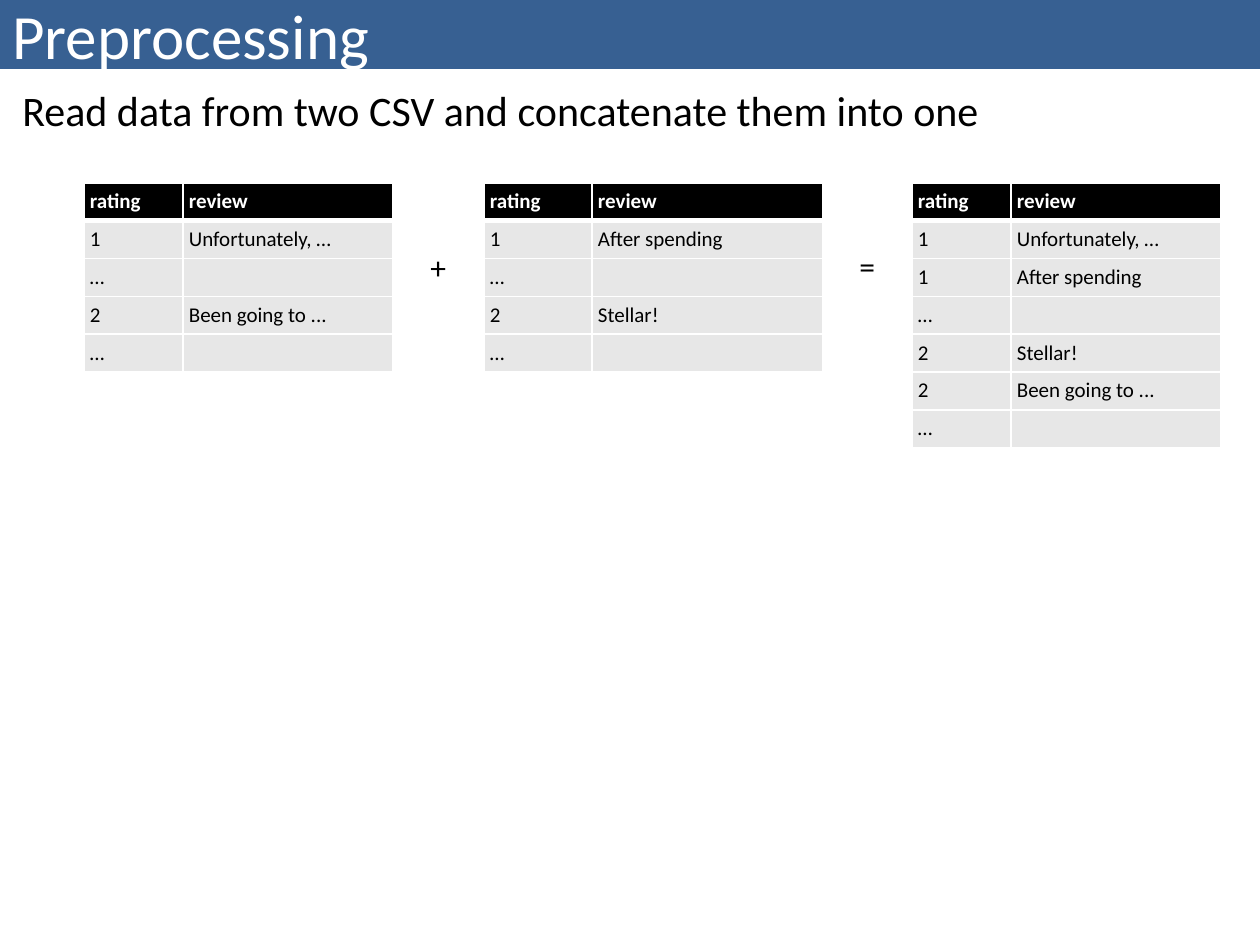
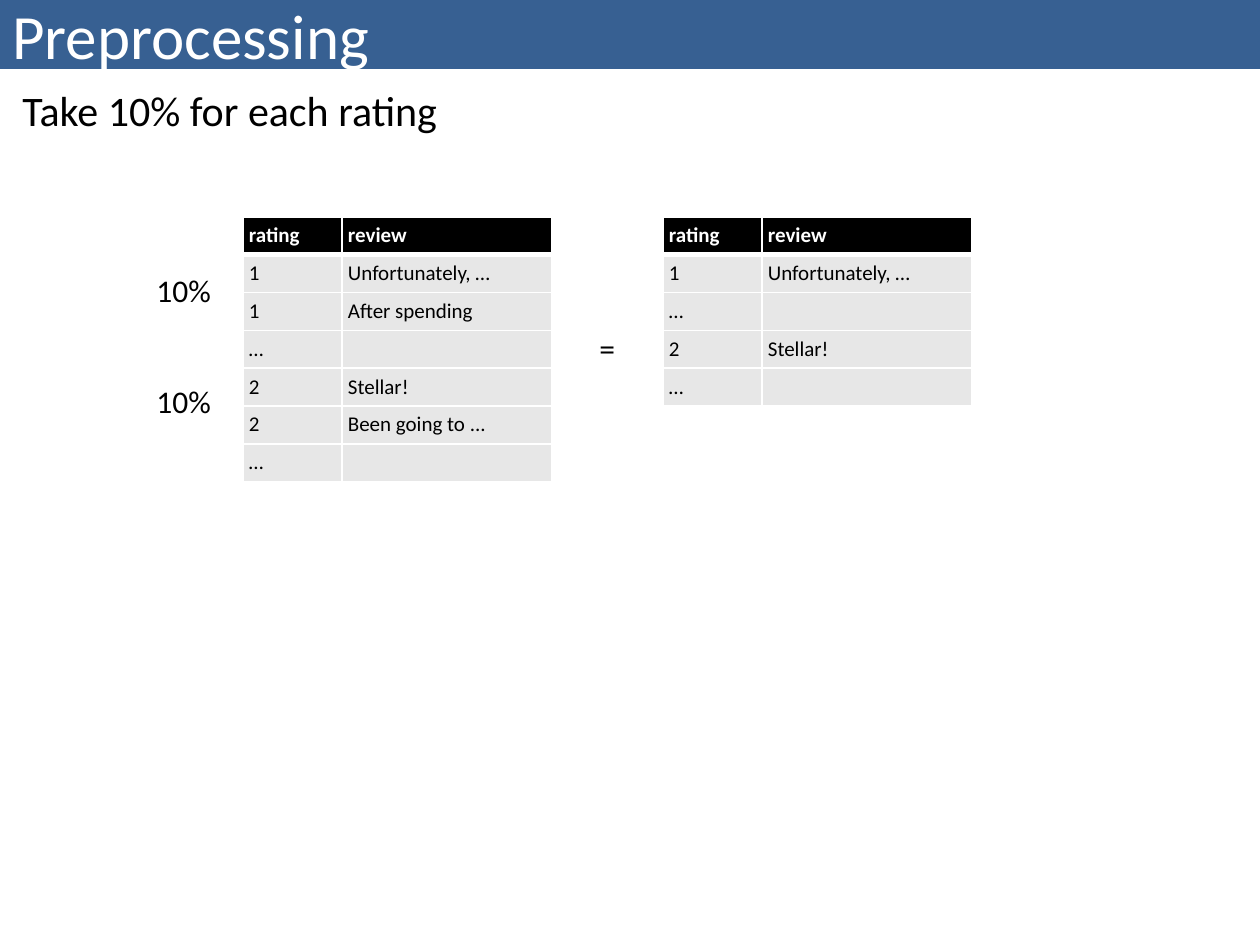
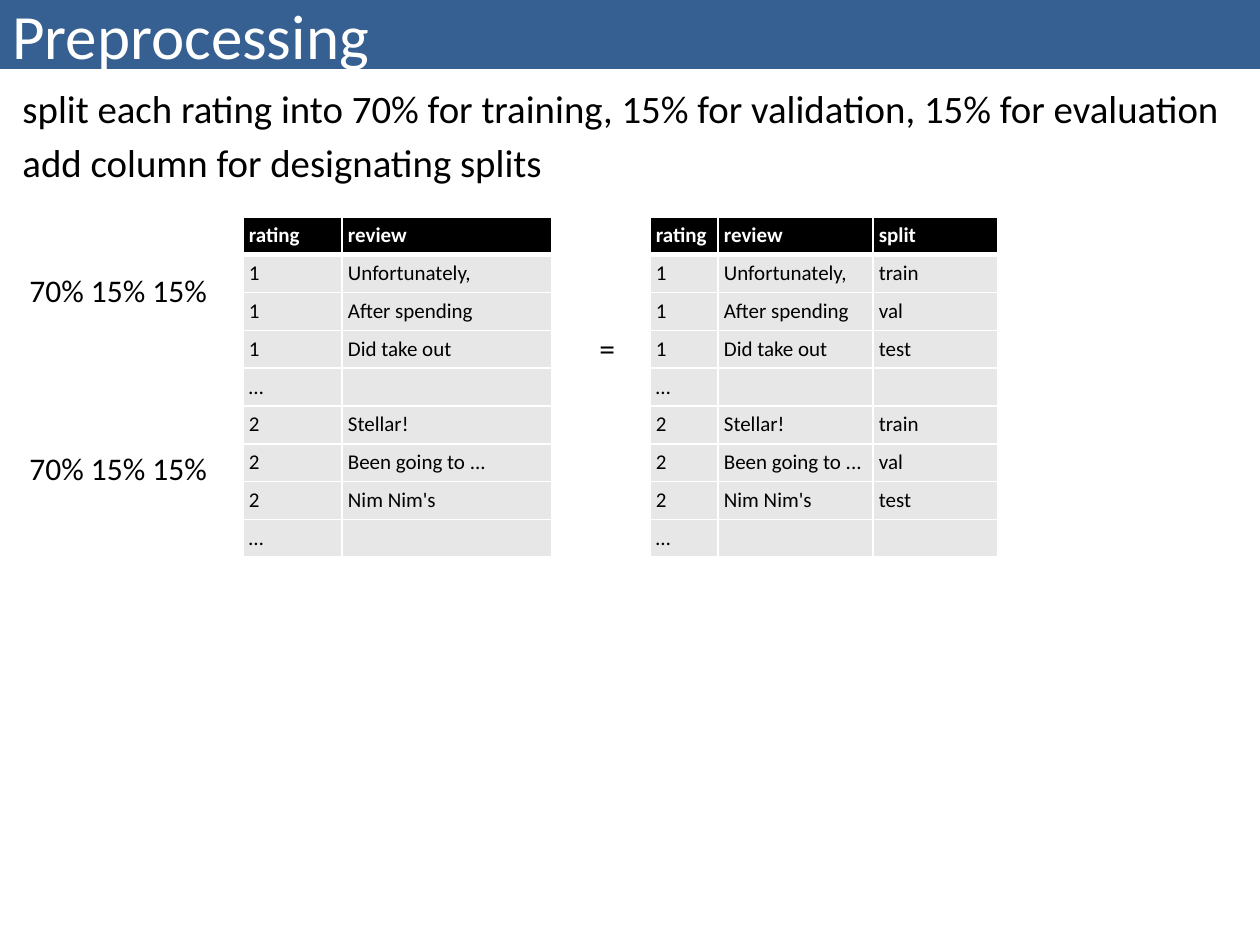
from dataclasses import dataclass

from lxml.etree import SubElement as Sub
from pptx import Presentation
from pptx.dml.color import RGBColor as Rgb
from pptx.enum.shapes import MSO_SHAPE as Kind
from pptx.enum.text import MSO_ANCHOR as Anchor, PP_ALIGN as Align
from pptx.oxml.ns import qn
from pptx.util import Pt

SCALE = 914400 / 126  # EMU per pixel
WIDE, HIGH = 1260, 945
FONT = "Calibri"
BLUE, BLACK, WHITE, GREY = "376092", "000000", "FFFFFF", "E7E7E7"
TITLE = "Preprocessing"
FIVE_ROWS = 189  # height of five table rows
PAD = 6
GAP = 0.2  # space above a line of the lead, in line sizes


@dataclass
class Label:
    """A short unwrapped text beside the tables."""
    text: str
    left: int
    top: int
    width: int = 42


@dataclass
class Grid:
    """A table with its place, column widths and rows."""
    left: int
    top: int
    cols: tuple
    rows: list


@dataclass
class Page:
    """What one slide holds below its title."""
    lead: list
    size: float
    height: int
    grids: list
    labels: list


def px(num: float) -> int:
    """Turn pixels into EMU."""
    return round(num * SCALE)


def hue(code: str) -> Rgb:
    """Turn a hex string into a colour."""
    return Rgb.from_string(code)


def write(para, text: str, size: float, code: str = BLACK, bold: bool = False) -> None:
    """Put one formatted run into a paragraph."""
    para.alignment = Align.LEFT
    run = para.add_run()
    run.text = text
    look = {"name": FONT, "size": Pt(size), "bold": bold}
    for key, value in look.items():
        setattr(run.font, key, value)
    run.font.color.rgb = hue(code)


def band(slide) -> None:
    """Draw the title band."""
    bar = slide.shapes.add_shape(Kind.RECTANGLE, 0, 0, px(WIDE), px(69))
    bar.shadow.inherit = False
    bar.fill.solid()
    bar.fill.fore_color.rgb = hue(BLUE)
    bar.line.fill.background()
    bar.text_frame.vertical_anchor = Anchor.MIDDLE
    write(bar.text_frame.paragraphs[0], TITLE, 36, WHITE)


def lead(slide, page: Page) -> None:
    """Write the lines under the title band."""
    box = slide.shapes.add_textbox(px(10), px(78), px(1240), px(page.height))
    frame = box.text_frame
    frame.word_wrap = True
    for num, line in enumerate(page.lead):
        para = frame.add_paragraph() if num else frame.paragraphs[0]
        para.space_before = Pt(page.size * GAP)
        write(para, line, page.size)


def note(slide, label: Label) -> None:
    """Write a label beside a table."""
    box = slide.shapes.add_textbox(px(label.left), px(label.top), px(label.width), px(50))
    box.text_frame.word_wrap = False
    write(box.text_frame.paragraphs[0], label.text, 18)


def edge(cell, head: bool) -> None:
    """Give a cell white borders, with a thick one under the head."""
    props = cell._tc.get_or_add_tcPr()
    for side in "LRTB":
        width = 3 if head and side == "B" else 1
        line = Sub(props, qn(f"a:ln{side}"), w=str(Pt(width)))
        Sub(Sub(line, qn("a:solidFill")), qn("a:srgbClr"), val=WHITE)


def table(slide, grid: Grid) -> None:
    """Draw a table with a black head and grey rows."""
    step = px(FIVE_ROWS) // 5
    count = len(grid.rows)
    obj = slide.shapes.add_table(count, len(grid.cols), px(grid.left), px(grid.top),
                                 px(sum(grid.cols)), step * count).table
    for col, width in zip(obj.columns, grid.cols):
        col.width = px(width)
    for row, texts in enumerate(grid.rows):
        head = row == 0
        obj.rows[row].height = step
        for col, text in enumerate(texts):
            cell = obj.cell(row, col)
            for side in ("left", "right", "top", "bottom"):
                setattr(cell, f"margin_{side}", px(PAD))
            edge(cell, head)
            cell.fill.solid()
            cell.fill.fore_color.rgb = hue(BLACK if head else GREY)
            para = cell.text_frame.paragraphs[0]
            if text:
                write(para, text, 12, WHITE if head else BLACK, head)
            else:
                Sub(para._p, qn("a:endParaRPr"), sz="1200")


HEAD = ("rating", "review")
MORE = ("…", "")
LUCK = ("1", "Unfortunately, …")
SPENT = ("1", "After spending")
STAR = ("2", "Stellar!")
BEEN = ("2", "Been going to ...")
COLS = (99, 210)
MERGED = [HEAD, LUCK, SPENT, MORE, STAR, BEEN, MORE]
SPLIT = [HEAD, ("1", "Unfortunately,"), SPENT, ("1", "Did take out"), MORE,
         STAR, BEEN, ("2", "Nim Nim's"), MORE]
PARTS = ("train", "val", "test", "")
MARKED = [row + (part,) for row, part in zip(SPLIT, ("split",) + PARTS * 2)]
EQUAL = Label("=", 587, 323)
SHARES = "70% 15% 15%"

PAGES = [
    Page(["Read data from two CSV and concatenate them into one"], 24, 816,
         [Grid(84, 183, COLS, [HEAD, LUCK, MORE, BEEN, MORE]),
          Grid(484, 183, (108, 231), [HEAD, SPENT, MORE, STAR, MORE]),
          Grid(912, 183, COLS, MERGED)],
         [Label("+", 418, 242), Label("=", 847, 241)]),
    Page(["Take 10% for each rating"], 24, 77,
         [Grid(243, 217, COLS, MERGED),
          Grid(663, 217, COLS, [HEAD, LUCK, MORE, STAR, MORE])],
         [EQUAL, Label("10%", 144, 265, 81), Label("10%", 144, 376, 81)]),
    Page(["split each rating into 70% for training, 15% for validation, 15% for evaluation",
          "add column for designating splits"], 22.2, 117,
         [Grid(243, 217, COLS, SPLIT), Grid(650, 217, (68, 155, 125), MARKED)],
         [EQUAL, Label(SHARES, 17, 265, 205), Label(SHARES, 17, 443, 205)]),
]


def main() -> None:
    """Build and save the slides."""
    deck = Presentation()
    deck.slide_width, deck.slide_height = px(WIDE), px(HIGH)
    for page in PAGES:
        slide = deck.slides.add_slide(deck.slide_layouts[6])
        band(slide)
        lead(slide, page)
        for grid in page.grids:
            table(slide, grid)
        for label in page.labels:
            note(slide, label)
    deck.save("out.pptx")


main()
